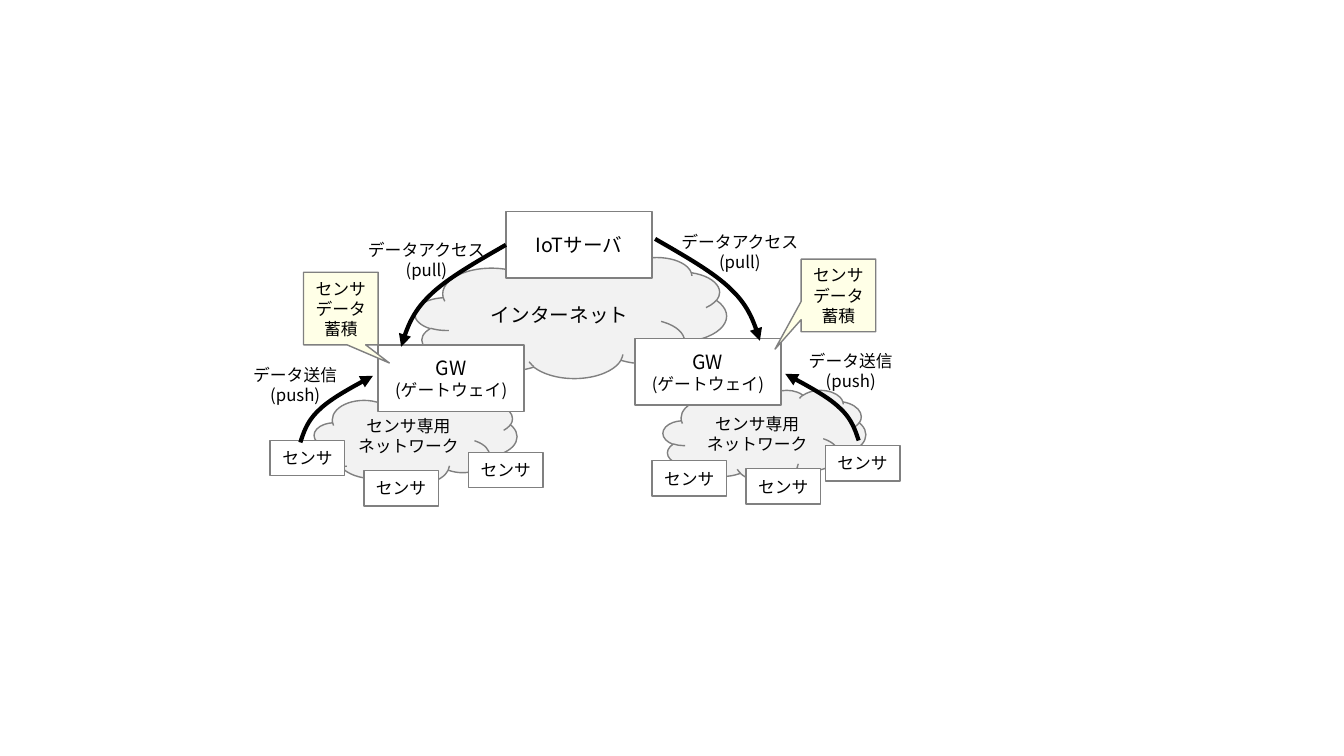
import lxml.etree
import pptx
import pptx.dml.color
import pptx.enum.shapes
import pptx.enum.text
import pptx.oxml.ns
import pptx.util

Cm, Pt = pptx.util.Cm, pptx.util.Pt
RGBColor = pptx.dml.color.RGBColor
SHAPE = pptx.enum.shapes.MSO_SHAPE
ANCHOR = pptx.enum.text.MSO_ANCHOR
qn = pptx.oxml.ns.qn

BLACK = RGBColor(0x00, 0x00, 0x00)
GRAY = RGBColor(0x80, 0x80, 0x80)
CLOUD_GRAY = RGBColor(0xF2, 0xF2, 0xF2)
WHITE = RGBColor(0xFF, 0xFF, 0xFF)
NOTE_YELLOW = RGBColor(0xFF, 0xFF, 0xE7)
JAPANESE, LATIN = "Noto Sans CJK JP", "Arial"

# Content: text lines are (text, points); places are in centimetres
SENSOR_NET = [("センサ専用", 12), ("ネットワーク", 12)]
INTERNET = [("インターネット", 14)]
GATEWAY = [("GW", 14), ("(ゲートウェイ)", 12)]
SERVER = [("IoTサーバ", 14)]
SENSOR = [("センサ", 12)]
STORE = [("センサ", 12), ("データ", 12), ("蓄積", 12)]
PUSH = [("データ送信", 12), ("(push)", 12)]
PULL = [("データアクセス", 12), ("(pull)", 12)]

NET_SIZE, INTERNET_SIZE = (5.11, 2.31), (7.85, 3.05)
NODE_SIZE, SENSOR_SIZE, STORE_SIZE = (3.68, 1.68), (1.88, 0.89), (1.88, 1.83)
PUSH_SIZE, PULL_SIZE = (2.64, 1.27), (3.51, 1.27)

CLOUDS = [
    (SENSOR_NET, NET_SIZE, [(16.71, 9.83), (7.92, 9.88)]),
    (INTERNET, INTERNET_SIZE, [(10.46, 6.48)]),
]
NODES = [
    (GATEWAY, NODE_SIZE, [(9.53, 8.69), (16, 8.53)]),
    (SERVER, NODE_SIZE, [(12.75, 5.33)]),
    (SENSOR, SENSOR_SIZE, [(6.81, 11.1), (9.17, 11.86), (11.81, 11.4),
                           (16.43, 11.61), (18.8, 11.81), (20.8, 11.23)]),
]
LABELS = [
    (PUSH, PUSH_SIZE, [(20.12, 8.71), (6.12, 9.07)]),
    (PULL, PULL_SIZE, [(16.89, 5.72), (8.99, 5.92)]),
]
# Place and pointer tip of each callout
STORES = [((20.19, 6.53), (-0.85, 0.74)), ((7.65, 6.86), (0.65, 0.75))]
# Lower end, upper end, end with the arrowhead
PUSH_ARROWS = [((21.64, 11.1), (19.79, 9.42), "a:tailEnd"),
               ((7.57, 11.15), (9.4, 9.47), "a:tailEnd")]
PULL_ARROWS = [((10.11, 8.74), (12.75, 6.17), "a:headEnd"),
               ((19.15, 8.59), (16.51, 6.02), "a:headEnd")]
# Sideways share of the seven control points; they rise in equal steps
BEND = [0, 0.05, 0.1, 0.27, 0.43, 0.72, 1]
STEPS = 16

deck = pptx.Presentation()
deck.slide_width, deck.slide_height = Cm(33.87), Cm(19.05)
page = deck.slides.add_slide(deck.slide_layouts[6])


def write_lines(box, lines, font_name, frame_format):
    frame = box.text_frame
    for name, value in frame_format.items():
        setattr(frame, name, value)
    for index, (text, size) in enumerate(lines):
        para = frame.add_paragraph() if index else frame.paragraphs[0]
        para.alignment = pptx.enum.text.PP_ALIGN.CENTER
        span = para.add_run()
        span.text = text
        for name, value in {"name": font_name, "size": Pt(size)}.items():
            setattr(span.font, name, value)
        span.font.color.rgb = BLACK
        east_asian = lxml.etree.SubElement(span.font._element, qn("a:ea"))
        east_asian.set("typeface", JAPANESE)


def add_box(kind, place, size, lines, fill, font_name=JAPANESE):
    box = page.shapes.add_shape(kind, *map(Cm, place + size))
    box.shadow.inherit = False
    box.fill.solid()
    box.fill.fore_color.rgb = fill
    box.line.color.rgb = GRAY
    box.line.width = Pt(1)
    margins = dict.fromkeys(["margin_left", "margin_right", "margin_top", "margin_bottom"], 0)
    write_lines(box, lines, font_name,
                {"word_wrap": True, "vertical_anchor": ANCHOR.MIDDLE, **margins})
    return box


def cubic(points, t):
    weights = ((1 - t) ** 3, 3 * t * (1 - t) ** 2, 3 * t * t * (1 - t), t ** 3)
    return sum(weight * point for weight, point in zip(weights, points))


def add_arrow(low, high, arrow_end):
    controls = [(low[0] + share * (high[0] - low[0]), low[1] + i / 6 * (high[1] - low[1]))
                for i, share in enumerate(BEND)]
    curve = []
    for first in (0, 3):
        xs, ys = zip(*controls[first:first + 4])
        curve += [(Cm(cubic(xs, step / STEPS)), Cm(cubic(ys, step / STEPS)))
                  for step in range(1, STEPS + 1)]
    builder = page.shapes.build_freeform(Cm(low[0]), Cm(low[1]))
    builder.add_line_segments(curve, close=False)
    arrow = builder.convert_to_shape()
    arrow.shadow.inherit = False
    arrow.fill.background()
    arrow.line.color.rgb = BLACK
    arrow.line.width = Pt(3)
    line = arrow.line._get_or_add_ln()
    lxml.etree.SubElement(line, qn(arrow_end)).set("type", "triangle")


# Clouds, then servers, gateways and sensors
for kind, groups, fill in [(SHAPE.CLOUD, CLOUDS, CLOUD_GRAY), (SHAPE.RECTANGLE, NODES, WHITE)]:
    for lines, size, places in groups:
        for place in places:
            add_box(kind, place, size, lines, fill)

# Data flows and their labels
for arrow_ends in PUSH_ARROWS + PULL_ARROWS:
    add_arrow(*arrow_ends)
for lines, size, places in LABELS:
    for place in places:
        label = page.shapes.add_textbox(*map(Cm, place + size))
        write_lines(label, lines, JAPANESE, {"word_wrap": False})

# Callouts for stored data
for place, tip in STORES:
    callout = add_box(SHAPE.RECTANGULAR_CALLOUT, place, STORE_SIZE, STORE, NOTE_YELLOW, LATIN)
    callout.adjustments[0], callout.adjustments[1] = tip

deck.save("out.pptx")
